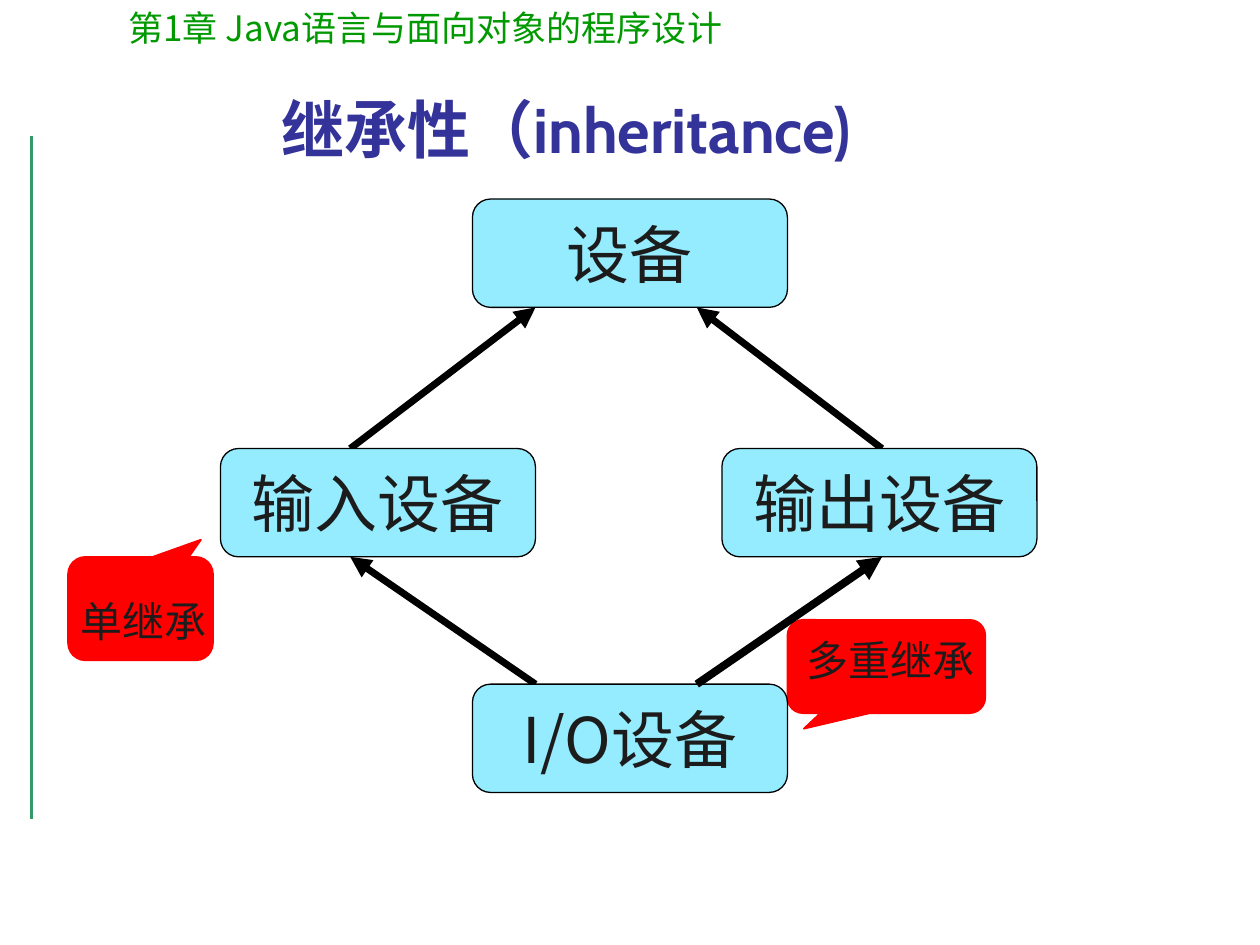
from pptx import Presentation
from pptx.util import Inches, Pt
from pptx.dml.color import RGBColor
from pptx.enum.shapes import MSO_SHAPE, MSO_CONNECTOR
from pptx.enum.text import PP_ALIGN, MSO_ANCHOR, MSO_AUTO_SIZE
from pptx.oxml.ns import qn
from lxml.etree import SubElement

GREEN = RGBColor(0x00, 0x99, 0x00)
TEAL = RGBColor(0x33, 0x99, 0x66)
NAVY = RGBColor(0x33, 0x33, 0x99)
RED = RGBColor(0xFF, 0x00, 0x00)
CYAN = RGBColor(0x94, 0xEC, 0xFE)
BLACK = RGBColor(0x00, 0x00, 0x00)
INK = RGBColor(0x1C, 0x1C, 0x1C)
SANS, SERIF, HEAD = "Noto Sans CJK SC", "Vollkorn", "Cabin"
COLS, ROWS = 100, 75
CELL = Inches(0.1)
NODE_W, NODE_H = 25, 8.6
GLYPH, INSETS = 3.35, 2


def grid(*cells):
    return [round(cell * CELL) for cell in cells]


def within(box, x, y, w, h):
    return box[0] + x, box[1] + y, w, h


def write(shape, text, size, font, color, bold=False, align=PP_ALIGN.LEFT, wrap=False):
    frame = shape.text_frame
    frame.word_wrap = wrap
    para = frame.paragraphs[0]
    para.text = text
    para.alignment = align
    para.font.size = Pt(size)
    para.font.name = font
    para.font.bold = bold
    para.font.color.rgb = color
    return para


def label(slide, box, *args, **style):
    shape = slide.shapes.add_textbox(*grid(*box))
    write(shape, *args, **style)
    return shape


def block(slide, kind, box, fill, edge, width):
    shape = slide.shapes.add_shape(kind, *grid(*box))
    shape.shadow.inherit = False
    shape.fill.solid()
    shape.fill.fore_color.rgb = fill
    shape.line.color.rgb = edge
    shape.line.width = Pt(width)
    return shape


def stroke(slide, start, end, color, width, arrow=False):
    line = slide.shapes.add_connector(MSO_CONNECTOR.STRAIGHT, *grid(*start, *end))
    line.line.color.rgb = color
    line.line.width = Pt(width)
    if arrow:
        SubElement(line._element.spPr.find(qn("a:ln")), qn("a:tailEnd"), type="triangle")
    SubElement(line._element.spPr, qn("a:effectLst"))


def frame(slide, box):
    x, y, w, h = box
    stroke(slide, (x + 2.5, y + 10.8), (x + 2.5, y + 65), TEAL, 2.24)
    label(slide, within(box, 9.2, 0, 82.6, 4.4),
          "第1章 Java语言与面向对象的程序设计", 20, SANS, GREEN, wrap=True)
    label(slide, within(box, 5.8, 6.7, 78.3, 9.3), "继承性（inheritance)",
          36, HEAD, NAVY, bold=True, align=PP_ALIGN.CENTER, wrap=True)


def node(slide, box, text, font):
    shape = block(slide, MSO_SHAPE.ROUNDED_RECTANGLE, box, CYAN, BLACK, 0.74)
    shape.text_frame.vertical_anchor = MSO_ANCHOR.MIDDLE
    para = write(shape, text, 36, font, INK, align=PP_ALIGN.CENTER)
    para.space_before = Pt(9)


def note(slide, box, text, shift, turn=0):
    shape = block(slide, MSO_SHAPE.ROUNDED_RECTANGULAR_CALLOUT, box, RED, RED, 0.99)
    for index, value in enumerate((-0.417, 0.667, 0.167)):
        shape.adjustments[index] = value
    shape.rotation = turn
    width = len(text) * GLYPH + INSETS
    words = label(slide, within(box, *shift, width, 5), text, 24, SERIF, INK)
    words.text_frame.auto_size = MSO_AUTO_SIZE.SHAPE_TO_FIT_TEXT


def diamond(slide, box):
    x, y, w, h = box
    mid, right = 20, w - NODE_W
    row, last = 19.8, h - NODE_H
    west, east = x + 10.3, x + 52.5
    near, far = x + 25, x + 37.8
    stroke(slide, (west, y + row), (near, y + NODE_H), BLACK, 4, True)
    stroke(slide, (near, y + last), (west, y + row + NODE_H), BLACK, 4, True)
    stroke(slide, (east, y + row), (far, y + NODE_H), BLACK, 4, True)
    note(slide, within(box, -12.1, 28.4, 11.5, 8.2), "单继承", (0, 2.6), 180)
    note(slide, within(box, 45, 33.4, 15.7, 7.4), "多重继承", (0.5, 0.7))
    for left, top, text, font in (
        (mid, 0, "设备", SERIF),
        (right, row, "输出设备", SANS),
        (mid, last, "I/O设备", SANS),
        (0, row, "输入设备", SANS),
    ):
        node(slide, within(box, left, top, NODE_W, NODE_H), text, font)
    stroke(slide, (far, y + last), (east, y + row + NODE_H), BLACK, 4.51, True)


deck = Presentation()
deck.slide_width, deck.slide_height = grid(COLS, ROWS)
slide = deck.slides.add_slide(deck.slide_layouts[6])
frame(slide, (0, 0, COLS, ROWS))
diamond(slide, (17.5, 15.8, 64.8, 47.1))
deck.save("out.pptx")
